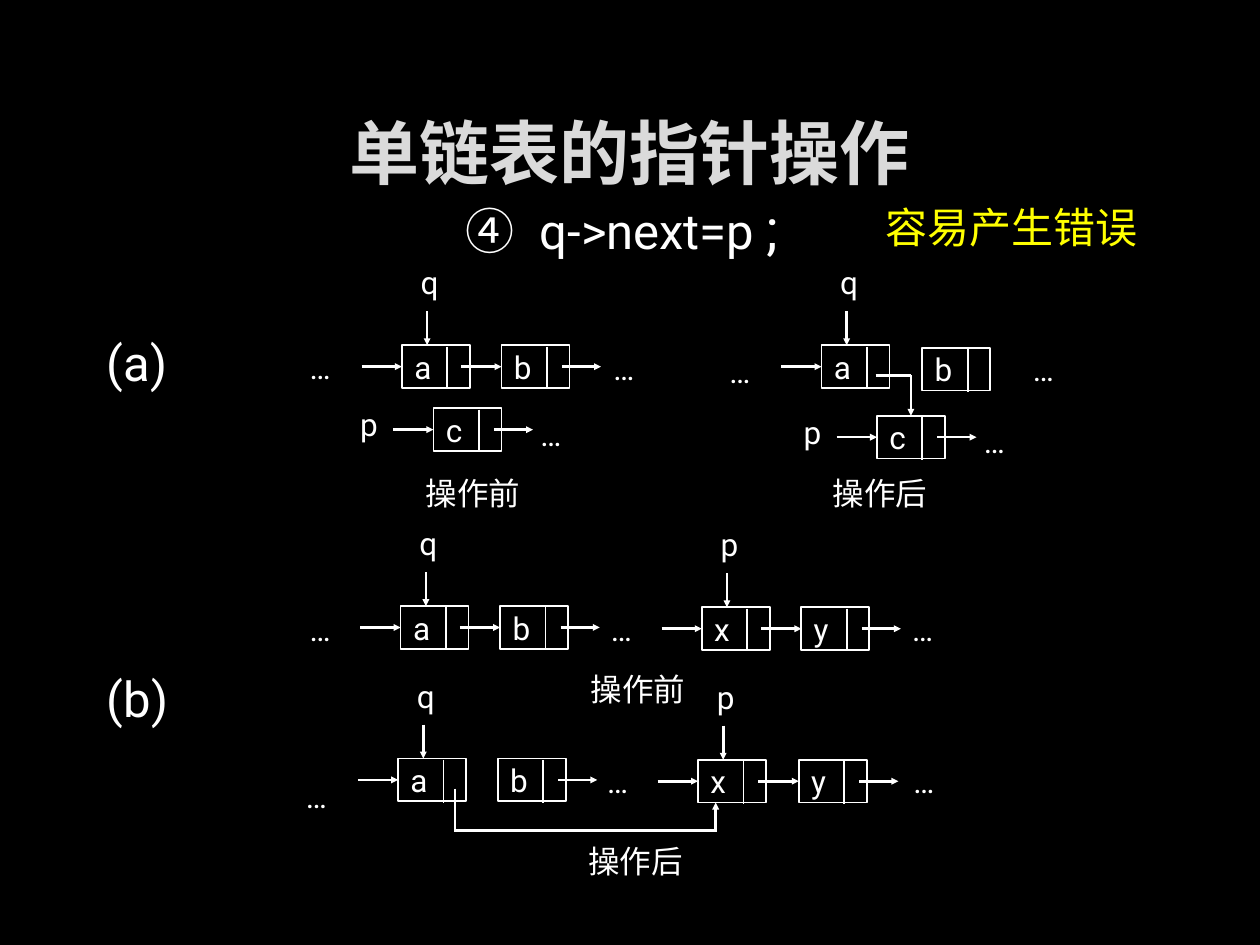
from lxml import etree
from pptx import Presentation
from pptx import util as u
from pptx.dml.color import RGBColor
from pptx.enum import shapes, text
from pptx.oxml import ns, parse_xml

PX = 9144  # 100 px to the inch
BLACK = RGBColor(0x00, 0x00, 0x00)
WHITE = RGBColor(0xFF, 0xFF, 0xFF)
YELLOW = RGBColor(0xFF, 0xFF, 0x00)
SILVER = RGBColor(0xDA, 0xDA, 0xDA)
CJK, LATIN = "Noto Sans CJK SC", "Roboto"
NODE_W, NODE_H = 54, 34
MID = NODE_H // 2


def write(sp, runs, color=WHITE, anchor=text.MSO_ANCHOR.MIDDLE, wrap=False):
    """Fill a shape with one paragraph of (words, size, font) runs."""
    tf = sp.text_frame
    tf.word_wrap = wrap
    tf.vertical_anchor = anchor
    p = tf.paragraphs[0]
    p.alignment = text.PP_ALIGN.LEFT
    for words, size, font in runs:
        r = p.add_run()
        r.text = words
        r.font.size = u.Pt(size)
        r.font.color.rgb = color
        r.font.name = font
        ea = etree.SubElement(r.font._element, ns.qn("a:ea"))
        ea.set("typeface", CJK)
    return p


def add_line(parent, x1, y1, x2, y2, width=1.5, arrow=True):
    c = parent.add_connector(shapes.MSO_CONNECTOR.STRAIGHT,
                             x1 * PX, y1 * PX, x2 * PX, y2 * PX)
    c.line.color.rgb = WHITE
    c.line.width = u.Pt(width)
    spPr = c._element.spPr
    if arrow:
        tail = etree.SubElement(spPr.find(ns.qn("a:ln")), ns.qn("a:tailEnd"))
        for key, value in (("type", "triangle"), ("w", "sm"), ("len", "sm")):
            tail.set(key, value)
    etree.SubElement(spPr, ns.qn("a:effectLst"))
    return c


prs = Presentation()
prs.slide_width, prs.slide_height = 1000 * PX, 750 * PX
s = prs.slides.add_slide(prs.slide_layouts[5])
s.background.fill.solid()
s.background.fill.fore_color.rgb = BLACK

# Title
title = s.shapes.title
title.left, title.top, title.width, title.height = (
    v * PX for v in (75, 67, 849, 106))
p = write(title, [("单链表的指针操作", 40, CJK)], SILVER, wrap=True)
p.alignment = text.PP_ALIGN.CENTER
r = p.runs[0]
r.font.bold = True
r.font._element.insert(0, parse_xml(
    f'<a:ln {ns.nsdecls("a")} w="9525"><a:solidFill><a:srgbClr val="404040">'
    '<a:alpha val="10000"/></a:srgbClr></a:solidFill></a:ln>'))

# Statement, warning and case labels
MIDDLE, TOP = text.MSO_ANCHOR.MIDDLE, text.MSO_ANCHOR.TOP
statement = [("④ ", 28, CJK), ("q->next=p ", 28, LATIN), (";", 32, LATIN)]
for x, y, w, h, runs, color, anchor in [
    (360, 155, 290, 51, statement, WHITE, MIDDLE),
    (693, 155, 230, 50, [("容易产生错误", 24, CJK)], YELLOW, TOP),
    (75, 265, 75, 45, [("(a)", 28, LATIN)], WHITE, MIDDLE),
    (75, 531, 75, 46, [("(b)", 28, LATIN)], WHITE, MIDDLE),
]:
    box = s.shapes.add_textbox(x * PX, y * PX, w * PX, h * PX)
    p = write(box, runs, color, anchor)
    if runs is statement:
        p.runs[0].font._element.set("spc", "400")

# Each diagram: nodes (name, x, y, arrow in, arrow out, pointer above),
# labels (words, x, y, width, height), ellipses (x, y)
# and links (x1, y1, x2, y2, width, arrow, index of the node joined on top)
diagrams = [
    dict(nodes=[("a", 319, 274, True, False, "q"),
                ("b", 398, 274, True, True, ""),
                ("c", 344, 324, True, True, ""),
                ("a", 652, 274, True, False, "q"),
                ("b", 732, 276, False, False, ""),
                ("c", 696, 330, True, True, "")],
         labels=[("p", 276, 319, 35, 35), ("p", 628, 325, 35, 35),
                 ("操作前", 328, 371, 117, 41), ("操作后", 651, 371, 117, 41)],
         ellipses=[(236, 274), (477, 275), (419, 327),
                   (569, 277), (810, 276), (771, 333)],
         links=[(695, 298, 723, 298, 1.5, False, None),
                (723, 298, 723, 330, 1.5, True, 5)]),
    dict(nodes=[("a", 318, 481, True, False, "q"),
                ("b", 397, 481, True, True, ""),
                ("x", 557, 482, True, False, "p"),
                ("y", 636, 482, True, True, "")],
         labels=[("操作前", 459, 527, 116, 40)],
         ellipses=[(236, 482), (475, 482), (714, 482)],
         links=[]),
    dict(nodes=[("a", 316, 602, True, False, "q"),
                ("b", 395, 602, False, True, ""),
                ("x", 554, 603, True, False, "p"),
                ("y", 634, 603, True, True, "")],
         labels=[("操作后", 457, 663, 116, 40)],
         ellipses=[(233, 615), (472, 603), (715, 603)],
         links=[(361, 659, 569, 659, 1.5, False, None),
                (361, 626, 361, 660, 1, False, None),
                (568, 660, 568, 637, 1.5, True, None)]),
]

for d in diagrams:
    g = s.shapes.add_group_shape().shapes
    labels = d["labels"] + [("…", x, y, 43, 34) for x, y in d["ellipses"]]
    rects = []
    for name, x, y, arrow_in, arrow_out, pointer in d["nodes"]:
        rect = g.add_shape(shapes.MSO_SHAPE.RECTANGLE,
                           x * PX, y * PX, NODE_W * PX, NODE_H * PX)
        rect.shadow.inherit = False
        rect.fill.background()
        rect.line.color.rgb = WHITE
        rect.line.width = u.Pt(1)
        write(rect, [(name, 18, LATIN)])
        rects.append(rect)
        add_line(g, x + 36, y + 1, x + 36, y + 35, 1, False)
        if arrow_in:
            c = add_line(g, x - 32, y + MID, x, y + MID)
            c.end_connect(rect, 1)
        if arrow_out:
            add_line(g, x + 48, y + MID, x + 79, y + MID)
        if pointer:
            add_line(g, x + 20, y - 27, x + 20, y)
            labels.append((pointer, x + 5, y - 67, 35, 34))
    for words, x, y, w, h in labels:
        box = g.add_textbox(x * PX, y * PX, w * PX, h * PX)
        write(box, [(words, 18, LATIN)])
    for x1, y1, x2, y2, width, arrow, target in d["links"]:
        c = add_line(g, x1, y1, x2, y2, width, arrow)
        if target is not None:
            c.end_connect(rects[target], 0)

prs.save("out.pptx")
